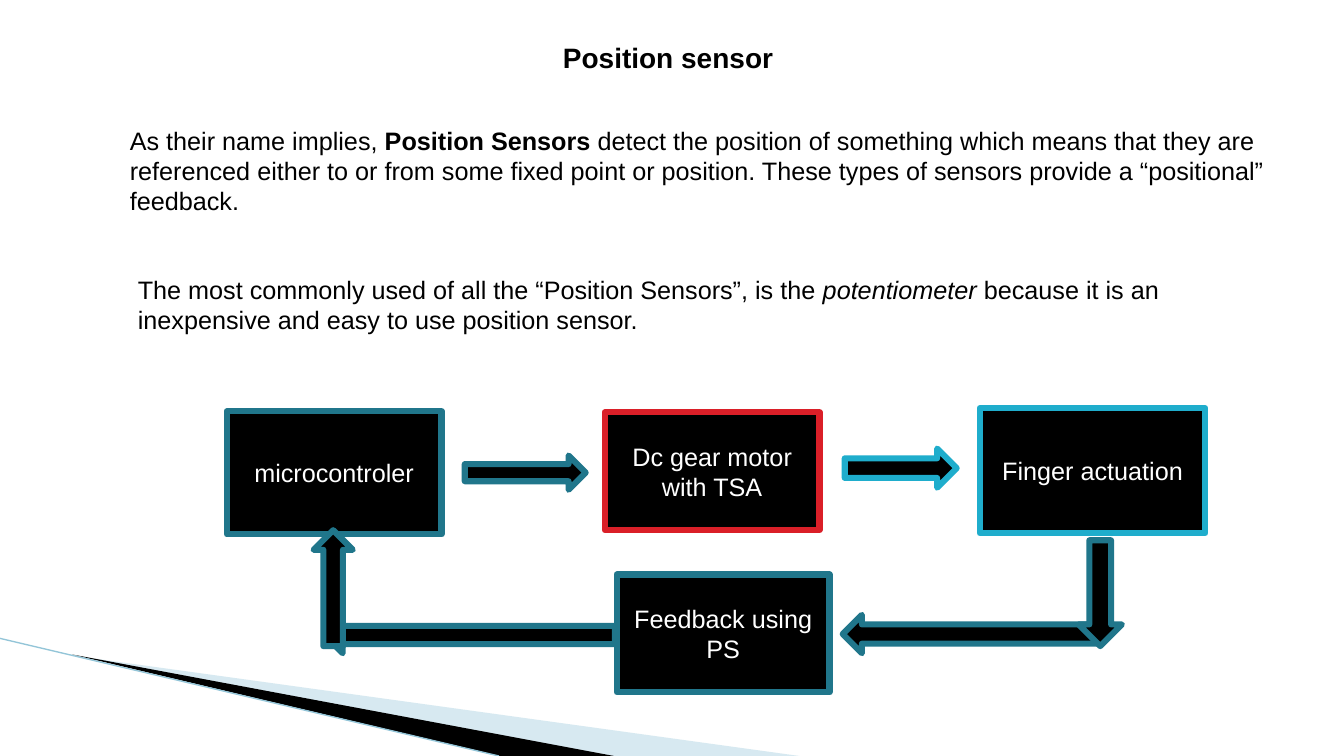
from lxml import etree
from pptx import Presentation
from pptx.dml.color import RGBColor as RGB
from pptx.enum.shapes import MSO_CONNECTOR as LINK, MSO_SHAPE as KIND
from pptx.enum.text import MSO_ANCHOR as ANCHOR, PP_ALIGN as ALIGN
from pptx.oxml.ns import qn
from pptx.util import Pt

HUES = {
    "black": "000000", "white": "FFFFFF", "teal": "20768B",
    "red": "DA1F28", "cyan": "1FADCC", "pale": "9CCADC", "edge": "93C5D8",
}


def hue(name):
    return RGB.from_string(HUES[name])


def write(frame, runs, size=18, color="black", align=ALIGN.LEFT, anchor=ANCHOR.TOP):
    """Fill a frame with (text, style) runs; style is "", "b" or "i"."""
    frame.word_wrap = True
    frame.vertical_anchor = anchor
    para = frame.paragraphs[0]
    para.alignment = align
    for text, style in runs:
        run = para.add_run()
        run.text = text
        font = run.font
        font.name, font.size = "Arial", Pt(size)
        font.bold, font.italic = style == "b", style == "i"
        font.color.rgb = hue(color)


def note(slide, box, runs, **form):
    area = slide.shapes.add_textbox(*map(Pt, box))
    write(area.text_frame, runs, **form)


def block(slide, kind, box, edge):
    """Black shape with a thick coloured edge."""
    item = slide.shapes.add_shape(kind, *map(Pt, box))
    item.shadow.inherit = False
    item.fill.solid()
    item.fill.fore_color.rgb = hue("black")
    item.line.color.rgb = hue(edge)
    item.line.width = Pt(4.33)
    return item


def wedge(slide, spots, color, alpha=None):
    pen, *rest = [(Pt(x), Pt(y)) for x, y in spots]
    maker = slide.shapes.build_freeform(*pen)
    maker.add_line_segments(rest, close=True)
    item = maker.convert_to_shape()
    item.shadow.inherit = False
    item.fill.solid()
    item.fill.fore_color.rgb = hue(color)
    item.line.fill.background()
    if alpha:
        tint = item.fill._xPr.find(".//" + qn("a:srgbClr"))
        etree.SubElement(tint, qn("a:alpha")).set("val", str(alpha * 1000))


def corner(slide, left, top, high):
    """Wedges and thin line in the lower left corner."""
    base = top + high
    wedge(slide, [(left + 52.6, top + 12.4), (left + 571, base), (left + 437.8, base)],
          "pale", alpha=40)
    wedge(slide, [(left + 51.5, top + 11.5), (left + 438.5, base), (left + 357, base)],
          "black")
    line = slide.shapes.add_connector(
        LINK.STRAIGHT, Pt(left), Pt(top), Pt(left + 356.4), Pt(base))
    line.line.color.rgb = hue("edge")
    line.line.width = Pt(0.95)
    etree.SubElement(line._element.spPr, qn("a:effectLst"))


def prose(slide, left, top, wide):
    """Title and the two paragraphs."""
    note(slide, (left, top, wide, 31.7), [("Position sensor ", "b")],
         size=20, align=ALIGN.CENTER)
    note(slide, (left + 85.7, top + 60.5, 825.1, 72.7), [
        ("As their name implies, ", ""),
        ("Position Sensors", "b"),
        (" detect the position of something which means that they are referenced "
         "either to or from some fixed point or position. These types of sensors "
         "provide a “positional” feedback.", "")])
    note(slide, (left + 91.4, top + 167, 800.6, 51), [
        ("The most commonly used of all the “Position Sensors”, is the ", ""),
        ("potentiometer", "i"),
        (" because it is an inexpensive and easy to use position sensor.", "")])


def flow(slide, left, top):
    """Control loop: arrows, then the labelled stages."""
    arrows = [
        (KIND.RIGHT_ARROW, 170, 33.8, 86.4, 24.5, "teal"),
        (KIND.RIGHT_ARROW, 441.4, 28.8, 80, 28, "cyan"),
        (KIND.LEFT_ARROW, 69.8, 149, 207.4, 26, "teal"),
        (KIND.LEFT_ARROW, 440, 147.6, 185, 27.4, "teal"),
    ]
    stages = [
        ("microcontroler", 0, 2.2, 153.4, 88, "teal"),
        ("Dc gear motor with TSA", 270, 2.9, 153.4, 84.2, "red"),
        ("Finger actuation", 537.8, 0, 161.3, 89.3, "cyan"),
        ("Feedback using PS", 278.6, 118.8, 152, 84.2, "teal"),
    ]
    turns = [
        (KIND.DOWN_ARROW, 608.4, 94.3, 31, 75.6, "teal"),
        (KIND.UP_ARROW, 62, 87.1, 28, 82.8, "teal"),
    ]

    def draw(kind, x, y, wide, high, edge):
        return block(slide, kind, (left + x, top + y, wide, high), edge)

    for arrow in arrows:
        draw(*arrow)
    for label, *rest in stages:
        stage = draw(KIND.RECTANGLE, *rest)
        write(stage.text_frame, [(label, "")], color="white",
              align=ALIGN.CENTER, anchor=ANCHOR.MIDDLE)
    # Vertical arrows lie over the stages
    for turn in turns:
        draw(*turn)


def main():
    deck = Presentation()
    deck.slide_width, deck.slide_height = Pt(960), Pt(540)
    slide = deck.slides.add_slide(deck.slide_layouts[6])
    corner(slide, 0, 456, 84)
    prose(slide, 0, 25.2, 960)
    flow(slide, 162, 291.6)
    deck.save("out.pptx")


if __name__ == "__main__":
    main()
